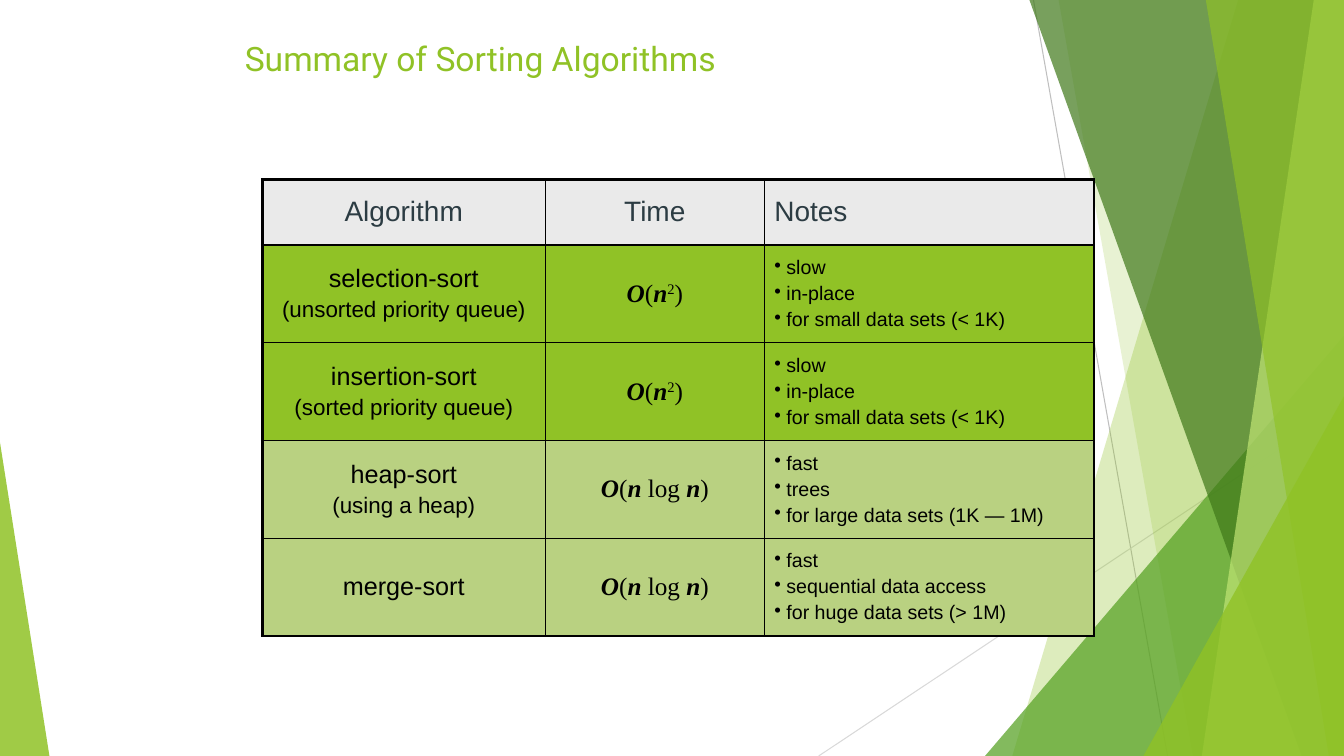
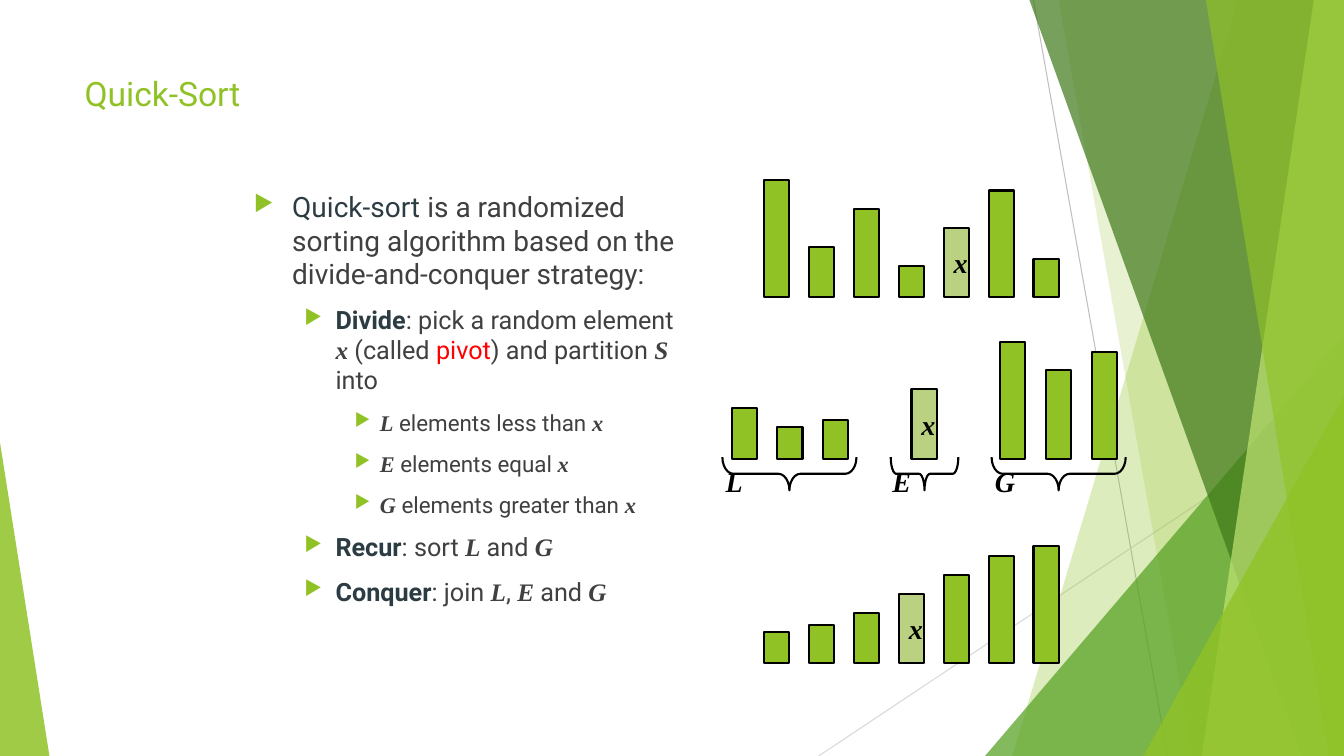
from dataclasses import dataclass, field

import lxml.etree
import pptx
import pptx.dml.color
import pptx.enum.shapes
import pptx.enum.text
import pptx.oxml.ns
import pptx.util

Inches = pptx.util.Inches
Pt = pptx.util.Pt
Align = pptx.enum.text.PP_ALIGN
Anchor = pptx.enum.text.MSO_ANCHOR
Shape = pptx.enum.shapes.MSO_SHAPE
qn = pptx.oxml.ns.qn


# Colours, fonts and type sizes
@dataclass(frozen=True)
class Theme:
    lime: str = "90C226"
    pale: str = "B9D181"
    leaf: str = "54A021"
    moss: str = "3F7819"
    mint: str = "C0E474"
    slate: str = "2C3C43"
    grey: str = "404040"
    head: str = "EAEAEA"
    black: str = "000000"
    red: str = "FF0000"
    sans: str = "Roboto"
    plain: str = "Arial"
    serif: str = "Times New Roman"
    title: int = 24
    large: int = 20
    mid: int = 18
    small: int = 16
    note: int = 14
    thick: float = 2.25
    thin: float = 1


T = Theme()
WIDE, HIGH = 13.33, 7.5

LOOKS = {
    "text": {},
    "math": {"name": T.serif, "bold": True, "italic": True},
    "serif": {"name": T.serif},
    "super": {"name": T.serif, "base": 30000},
    "term": {"ink": T.slate},
    "key": {"ink": T.slate, "bold": True},
    "alert": {"ink": T.red},
}


# Repeated elements
@dataclass(frozen=True)
class Bullet:
    char: str
    left: float
    hang: float
    ink: str = ""
    scale: int = 100


@dataclass(frozen=True)
class Para:
    runs: list
    size: int
    face: str = T.plain
    ink: str = T.black
    align: int = Align.LEFT
    gap: float = 0
    bullet: Bullet | None = None


@dataclass(frozen=True)
class Panel:
    top: float
    foot: float
    ink: str
    alpha: int


@dataclass(frozen=True)
class Wedge:
    left: float
    top: float
    wide: float
    apex: int
    ink: str
    alpha: int


@dataclass(frozen=True)
class Bars:
    left: float
    base: float
    pitch: float
    sizes: list = field(default_factory=list)


@dataclass(frozen=True)
class Brace:
    mid: float
    length: float
    bend: float
    label: str


def rgb(ink: str):
    return pptx.dml.color.RGBColor.from_string(ink)


def assign(item, **values) -> None:
    for name, value in values.items():
        setattr(item, name, value)


# Text
def add_bullet(para, mark: Bullet) -> None:
    props = para._p.get_or_add_pPr()
    props.set("marL", str(Inches(mark.left)))
    props.set("indent", str(-Inches(mark.hang)))
    if mark.ink:
        tint = lxml.etree.SubElement(props, qn("a:buClr"))
        lxml.etree.SubElement(tint, qn("a:srgbClr"), val=mark.ink)
    lxml.etree.SubElement(props, qn("a:buSzPct"), val=str(mark.scale * 1000))
    lxml.etree.SubElement(props, qn("a:buChar"), char=mark.char)


def write(frame, paras: list) -> None:
    for index, item in enumerate(paras):
        para = frame.add_paragraph() if index else frame.paragraphs[0]
        assign(para, alignment=item.align, space_before=Pt(item.gap if index else 0))
        if item.bullet:
            add_bullet(para, item.bullet)
        for text, kind in item.runs:
            look = {"name": item.face, "size": Pt(item.size), "ink": item.ink,
                    "bold": False, "italic": False, **LOOKS[kind]}
            run = para.add_run()
            run.text = text
            run.font.color.rgb = rgb(look.pop("ink"))
            base = look.pop("base", 0)
            assign(run.font, **look)
            if base:
                run._r.get_or_add_rPr().set("baseline", str(base))


def add_text(slide, box: tuple, paras: list) -> None:
    frame = slide.shapes.add_textbox(*map(Inches, box)).text_frame
    frame.word_wrap = True
    write(frame, paras)


# Shapes
def paint(shape, fill: str = "", alpha: int = 100, line: str = "") -> None:
    shape.shadow.inherit = False
    if fill:
        shape.fill.solid()
        shape.fill.fore_color.rgb = rgb(fill)
        if alpha < 100:
            tint = shape._element.spPr.find(qn("a:solidFill"))[0]
            lxml.etree.SubElement(tint, qn("a:alpha"), val=str(alpha * 1000))
    else:
        shape.fill.background()
    if line:
        shape.line.color.rgb = rgb(line)
        shape.line.width = Pt(1.5)
    else:
        shape.line.fill.background()


def add_line(slide, ends: tuple, ink: str) -> None:
    line = slide.shapes.add_connector(
        pptx.enum.shapes.MSO_CONNECTOR.STRAIGHT, *map(Inches, ends))
    line.line.color.rgb = rgb(ink)
    line.line.width = Pt(0.75)
    lxml.etree.SubElement(line._element.spPr, qn("a:effectLst"))


# Backdrop and title on every slide
LINES = [((10.25, 0, 11.58, HIGH), "BFBFBF"), ((WIDE, 4.03, 8.12, HIGH), "D9D9D9")]
FACETS = [
    Panel(12.28, 10.04, T.lime, 30),
    Panel(10.5, 11.83, T.lime, 20),
    Wedge(9.77, 3.33, 3.56, 1, T.leaf, 72),
    Panel(10.21, 12.91, T.moss, 70),
    Panel(13.03, 11.92, T.mint, 70),
    Panel(11.96, 13.18, T.lime, 65),
    Wedge(11.34, 3.93, 1.99, 1, T.lime, 80),
    Wedge(0, 4.39, 0.49, 0, T.lime, 85),
]


def add_facet(slide, facet: Panel | Wedge) -> None:
    if isinstance(facet, Panel):
        pen = slide.shapes.build_freeform(Inches(facet.top), 0)
        rest = [(WIDE, 0), (WIDE, HIGH), (facet.foot, HIGH)]
        pen.add_line_segments([(Inches(x), Inches(y)) for x, y in rest], close=True)
        shape = pen.convert_to_shape()
    else:
        box = facet.left, facet.top, facet.wide, HIGH - facet.top
        shape = slide.shapes.add_shape(Shape.ISOSCELES_TRIANGLE, *map(Inches, box))
        shape.adjustments[0] = facet.apex
    paint(shape, facet.ink, facet.alpha)


def new_slide(deck, title: str, box: tuple):
    slide = deck.slides.add_slide(deck.slide_layouts[6])
    for ends, ink in LINES:
        add_line(slide, ends, ink)
    for facet in FACETS:
        add_facet(slide, facet)
    add_text(slide, box, [Para([(title, "text")], T.title, T.sans, T.lime)])
    return slide


# Sorting table
SQUARE = [("O", "math"), ("(", "serif"), ("n", "math"), ("2", "super"), (")", "serif")]
LOGN = [("O", "math"), ("(", "serif"), ("n", "math"), (" log ", "serif"),
        ("n", "math"), (")", "serif")]
SORTS = [
    (["selection-sort", "(unsorted priority queue)"], SQUARE,
     ["slow", "in-place", "for small data sets (< 1K)"], T.lime),
    (["insertion-sort", "(sorted priority queue)"], SQUARE,
     ["slow", "in-place", "for small data sets (< 1K)"], T.lime),
    (["heap-sort", "(using a heap)"], LOGN,
     ["fast", "trees", "for large data sets (1K — 1M)"], T.pale),
    (["merge-sort"], LOGN,
     ["fast", "sequential data access", "for huge data sets (> 1M)"], T.pale),
]


def fill_cell(cell, paras: list, fill: str, edges: tuple) -> None:
    cell.vertical_anchor = Anchor.MIDDLE
    cell.fill.solid()
    cell.fill.fore_color.rgb = rgb(fill)
    write(cell.text_frame, paras)
    props = cell._tc.get_or_add_tcPr()
    for index, (side, width) in enumerate(zip("LRTB", edges)):
        line = lxml.etree.Element(qn(f"a:ln{side}"), w=str(Pt(width)))
        solid = lxml.etree.SubElement(line, qn("a:solidFill"))
        lxml.etree.SubElement(solid, qn("a:srgbClr"), val=T.black)
        props.insert(index, line)


def add_sorts(slide) -> None:
    wides, highs = [2.81, 2.17, 3.27], [0.65] + [0.97] * len(SORTS)
    box = 2.6, 1.78, sum(wides), sum(highs)
    table = slide.shapes.add_table(len(highs), len(wides), *map(Inches, box)).table
    assign(table, first_row=False, horz_banding=False)
    for column, wide in zip(table.columns, wides):
        column.width = Inches(wide)
    for row, high in zip(table.rows, highs):
        row.height = Inches(high)

    sides = [Align.CENTER, Align.CENTER, Align.LEFT]
    heads = [[Para([(text, "text")], T.large, ink=T.slate, align=side)]
             for text, side in zip(["Algorithm", "Time", "Notes"], sides)]
    rows = [(heads, T.head)]
    dot = Bullet("•", 0.12, 0.12)
    for names, cost, notes, fill in SORTS:
        rows.append(([
            [Para([(text, "text")], size, align=Align.CENTER, gap=size * 0.2)
             for text, size in zip(names, [T.mid, T.small])],
            [Para(cost, T.mid, align=Align.CENTER)],
            [Para([(text, "text")], T.note, gap=T.note * 0.2, bullet=dot)
             for text in notes],
        ], fill))

    last, end = len(rows) - 1, len(wides) - 1
    for r, (cells, fill) in enumerate(rows):
        for c, paras in enumerate(cells):
            bold = c == 0, c == end, r < 2, r in (0, last)
            edges = tuple(T.thick if b else T.thin for b in bold)
            fill_cell(table.cell(r, c), paras, fill, edges)


# Quick-sort outline and bars
LEVELS = [(0.38, 0.38, T.large), (0.81, 0.31, T.mid), (1.25, 0.25, T.small)]
STEPS = [
    (0, [("Quick-sort", "term"), (" is a randomized sorting algorithm based on the "
                                  "divide-and-conquer strategy:", "text")]),
    (1, [("Divide", "key"), (": pick a random element ", "text"), ("x", "math"),
         (" (called ", "text"), ("pivot", "alert"), (") and partition ", "text"),
         ("S", "math"), (" into", "text")]),
    (2, [("L", "math"), (" elements less than ", "text"), ("x", "math")]),
    (2, [("E", "math"), (" elements equal ", "text"), ("x", "math")]),
    (2, [("G", "math"), (" elements greater than ", "text"), ("x", "math")]),
    (1, [("Recur", "key"), (": sort ", "text"), ("L", "math"), (" and ", "text"),
         ("G", "math")]),
    (1, [("Conquer", "key"), (": join ", "text"), ("L", "math"), (", ", "text"),
         ("E", "math"), (" and ", "text"), ("G", "math")]),
]
PIVOT = 0.69
ITEMS = [1.16, 0.5, 0.88, 0.31, PIVOT, 1.06, 0.38]
GROUPS = [
    Bars(7.58, 2.95, 0.445, ITEMS),
    Bars(7.26, 4.55, 0.45, [n for n in ITEMS if n < PIVOT]),
    Bars(9.04, 4.55, 0.45, [PIVOT]),
    Bars(9.92, 4.55, 0.455, [n for n in ITEMS if n > PIVOT]),
    Bars(7.58, 6.58, 0.445, sorted(ITEMS)),
]
BRACES = [Brace(7.83, 1.33, 0.333, "L"), Brace(10.5, 1.33, 0.333, "G"),
          Brace(9.17, 0.67, 0.167, "E")]


def label(shape, text: str, **values) -> None:
    assign(shape.text_frame, word_wrap=False, **values)
    write(shape.text_frame, [Para([(text, "math")], T.large)])


def add_bars(slide, group: Bars) -> None:
    for index, high in enumerate(group.sizes):
        box = group.left + index * group.pitch, group.base - high, 0.25, high
        bar = slide.shapes.add_shape(Shape.RECTANGLE, *map(Inches, box))
        paint(bar, T.pale if high == PIVOT else T.lime, line=T.black)
        if high == PIVOT:
            label(bar, "x", vertical_anchor=Anchor.MIDDLE)


def add_brace(slide, item: Brace) -> None:
    wide = 0.33
    box = item.mid - wide / 2, 4.7 - item.length / 2, wide, item.length
    brace = slide.shapes.add_shape(Shape.LEFT_BRACE, *map(Inches, box))
    brace.rotation = 270
    brace.adjustments[0] = item.bend
    paint(brace, line=T.black)
    label(brace, item.label, vertical_anchor=Anchor.TOP, margin_left=Inches(0.1),
          margin_right=Inches(0.6), margin_top=0, margin_bottom=0)
    brace.text_frame._txBody.bodyPr.set("vert", "eaVert")


def add_steps(slide) -> None:
    paras = []
    for level, runs in STEPS:
        left, hang, size = LEVELS[level]
        mark = Bullet("▶", left, hang, T.lime, 80)
        paras.append(Para(runs, size, T.sans, T.grey, gap=10, bullet=mark))
    add_text(slide, (2.42, 1.83, 4.5, 5), paras)


def main() -> None:
    deck = pptx.Presentation()
    assign(deck, slide_width=Inches(WIDE), slide_height=Inches(HIGH))
    add_sorts(new_slide(deck, "Summary of Sorting Algorithms", (2.33, 0.33, 8.83, 1)))
    quick = new_slide(deck, "Quick-Sort", (0.74, 0.67, 9.4, 1.44))
    add_steps(quick)
    for group in GROUPS:
        add_bars(quick, group)
    for item in BRACES:
        add_brace(quick, item)
    deck.save("out.pptx")


if __name__ == "__main__":
    main()
